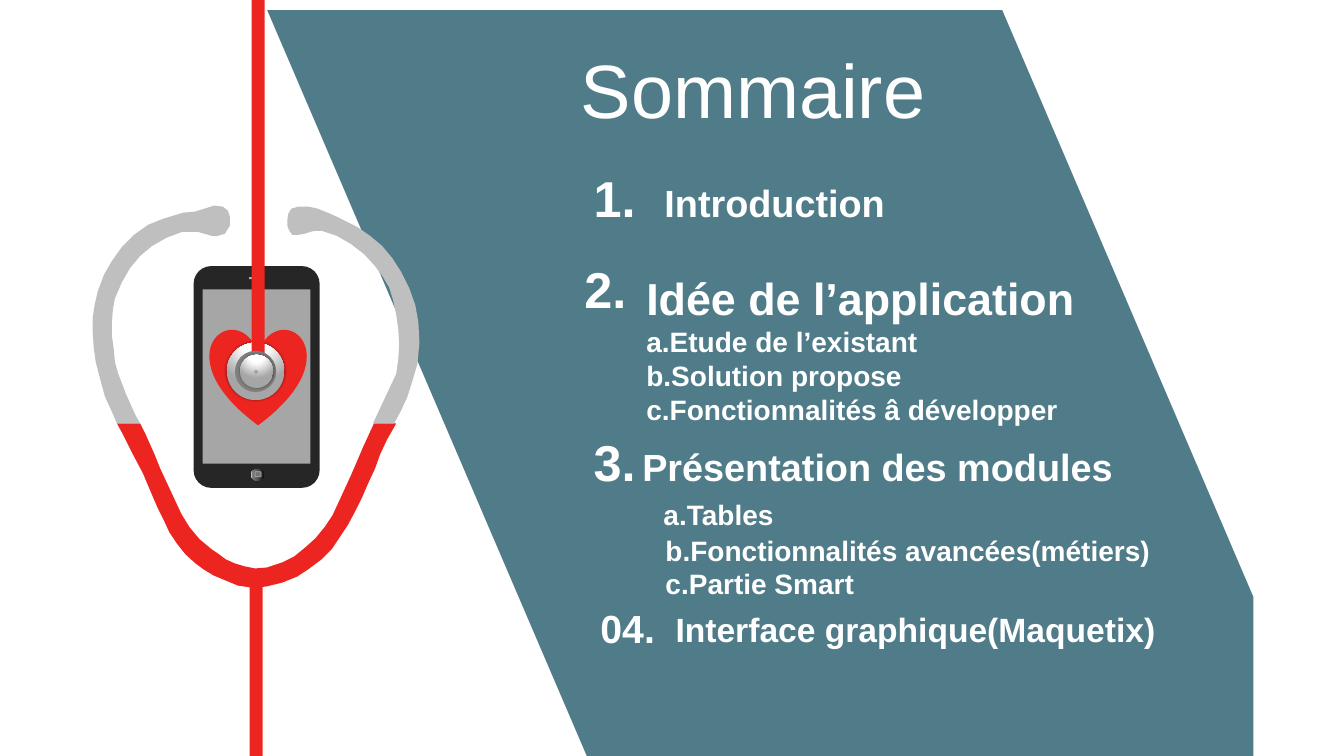
from dataclasses import dataclass

from lxml import etree
from pptx import Presentation
from pptx import util as u
from pptx.dml.color import RGBColor
from pptx.enum import shapes, text
from pptx.oxml import parse_xml
from pptx.oxml.ns import nsdecls, qn

COLUMNS, ROWS = 1333, 750
CELL = u.Inches(7.5) // ROWS
KIND = shapes.MSO_SHAPE


@dataclass(frozen=True)
class Theme:
    """Hold the colours and type sizes of the slide."""
    font: str = "Arial"
    panel: str = "507C89"
    red: str = "ED2521"
    tube: str = "BFBFBF"
    case: str = "262626"
    screen: str = "A6A6A6"
    speaker: str = "B0B0B0"
    key: str = "737373"
    ring: str = "808080"
    ink: str = "FFFFFF"
    button: tuple = ((0, "0F0F0F"), (56, "595959"), (91, "808080"), (100, "BFBFBF"))
    metal: tuple = ((0, "FFFFFF"), (35, "FFFFFF"), (100, "A6A6A6"))
    title: int = 54
    number: int = 36
    item: int = 20


THEME = Theme()
LINEAR = '<a:lin ang="10800000" scaled="0"/>'
RADIAL = ('<a:path path="circle"><a:fillToRect l="50000" t="-80000" '
          'r="50000" b="180000"/></a:path>')

SECTIONS = [
    {"box": (557, 161), "number": "1.", "size": THEME.number, "offset": (90, 12),
     "extent": (545, 56), "heading": ("Introduction", 27), "items": []},
    {"box": (548, 251), "number": "2.", "size": THEME.number, "offset": (81, 13),
     "extent": (493, 165), "heading": ("Idée de l’application", 32),
     "items": [("a.Etude de l’existant", {}), ("b.Solution propose", {}),
               ("c.Fonctionnalités â développer", {})]},
    {"box": (557, 423), "number": "3.", "size": THEME.number, "offset": (68, 12),
     "extent": (545, 168), "heading": ("Présentation des modules", 27),
     "items": [("a.Tables", {"indent": 21, "before": 6, "after": 1.5}),
               ("b.Fonctionnalités avancées(métiers)", {"indent": 23}),
               ("c.Partie Smart", {"indent": 23})]},
    {"box": (570, 595), "number": "04.", "size": 28, "offset": (88, 4),
     "extent": (545, 50), "heading": ("Interface graphique(Maquetix)", 24), "items": []},
]

PANEL = [(0, 0), (729, 0), (978, 582), (978, 740), (317, 740)]
LOWER_TUBE = [
    (116, 420), (139, 420), (144, 430), (153, 450), (159, 465), (166, 480), (173, 495),
    (180, 510), (188, 523), (198, 535), (210, 545), (216, 549), (224, 555), (233, 559),
    (243, 562), (253, 564), (265, 563), (280, 558), (292, 552), (303, 543), (313, 534),
    (322, 523), (330, 511), (336, 498), (342, 485), (348, 472), (354, 458), (360, 444),
    (371, 420), (393, 420), (392, 422), (384, 436), (377, 451), (372, 465), (365, 480),
    (359, 494), (352, 508), (345, 521), (337, 533), (329, 545), (319, 555), (307, 564),
    (295, 572), (280, 578), (264, 582), (250, 583), (236, 581), (224, 576), (212, 571),
    (202, 565), (194, 559), (184, 550), (176, 540), (168, 528), (162, 515), (156, 503),
    (150, 489), (142, 470), (132, 451), (122, 431)]
RIGHT_EARPIECE = [
    (296, 205), (306, 205), (315, 207), (325, 211), (334, 215), (342, 219), (354, 225),
    (367, 234), (379, 244), (389, 256), (398, 270), (406, 286), (412, 303), (415, 320),
    (416, 340), (414, 361), (409, 378), (404, 394), (397, 409), (391, 420), (370, 420),
    (393, 371), (395, 357), (396, 342), (395, 326), (393, 312), (390, 298), (386, 285),
    (380, 275), (372, 264), (361, 252), (348, 242), (334, 234), (319, 229), (313, 229),
    (308, 230), (302, 232), (296, 233), (290, 233), (287, 229), (285, 224), (285, 218),
    (286, 212), (289, 207)]
LEFT_EARPIECE = [
    (212, 204), (221, 205), (226, 209), (228, 215), (228, 224), (223, 232), (216, 234),
    (210, 234), (203, 232), (196, 230), (189, 230), (181, 230), (165, 236), (151, 244),
    (139, 254), (129, 266), (121, 280), (114, 296), (112, 307), (111, 320), (111, 333),
    (113, 347), (114, 359), (117, 370), (125, 391), (134, 411), (139, 420), (116, 420),
    (113, 413), (104, 393), (98, 371), (95, 359), (93, 345), (92, 330), (92, 315),
    (94, 302), (97, 289), (103, 273), (111, 259), (121, 245), (133, 233), (147, 223),
    (162, 217), (172, 214), (182, 211), (193, 210), (203, 207)]


def apply(target, values):
    """Set each named attribute on the target."""
    for name, value in values.items():
        setattr(target, name, value)


def cells(box, left, top, width, height):
    """Turn grid cells inside a box into slide lengths."""
    return [round(n * CELL) for n in (box[0] + left, box[1] + top, width, height)]


def paint(shape, fill):
    """Give a shape a plain or gradient fill, without line or shadow."""
    shape.shadow.inherit = False
    shape.line.fill.background()
    if isinstance(fill, str):
        shape.fill.solid()
        shape.fill.fore_color.rgb = RGBColor.from_string(fill)
        return
    stops, direction = fill
    marks = "".join(f'<a:gs pos="{position * 1000}"><a:srgbClr val="{color}"/></a:gs>'
                    for position, color in stops)
    gradient = f'<a:gradFill {nsdecls("a")}><a:gsLst>{marks}</a:gsLst>{direction}</a:gradFill>'
    shape.element.spPr.find(qn("a:prstGeom")).addnext(parse_xml(gradient))


def add_part(slide, box, kind, place, fill):
    """Add a preset shape in grid cells relative to a box."""
    shape = slide.shapes.add_shape(kind, *cells(box, *place))
    paint(shape, fill)
    return shape


def add_outline(slide, box, outlines, fill):
    """Add one freeform made of closed outlines."""
    builder = slide.shapes.build_freeform(*outlines[0][0], scale=CELL)
    builder.add_line_segments(outlines[0][1:], close=True)
    for outline in outlines[1:]:
        builder.move_to(*outline[0])
        builder.add_line_segments(outline[1:], close=True)
    paint(builder.convert_to_shape(box[0] * CELL, box[1] * CELL), fill)


def add_glow(shape):
    """Add a soft dark edge around a shape."""
    effects = shape.element.spPr.find(qn("a:effectLst"))
    effects.append(parse_xml(
        f'<a:outerShdw {nsdecls("a")} blurRad="25400" dist="0" dir="0">'
        '<a:srgbClr val="000000"><a:alpha val="40000"/></a:srgbClr></a:outerShdw>'))


def draw_phone(slide, box):
    """Draw the phone with its screen and home button."""
    case = add_part(slide, box, KIND.ROUNDED_RECTANGLE, (0, 0, 125, 220), THEME.case)
    case.adjustments[0] = 0.14
    add_part(slide, box, KIND.RECTANGLE, (55, 11, 13, 2), THEME.speaker)
    add_part(slide, box, KIND.OVAL, (57, 201, 13, 12), (THEME.button, LINEAR))
    key = add_part(slide, box, KIND.ROUNDED_RECTANGLE, (61, 204, 6, 5), THEME.key)
    key.line.color.rgb = RGBColor.from_string(THEME.speaker)
    key.line.width = u.Pt(0.5)
    add_part(slide, box, KIND.RECTANGLE, (9, 23, 107, 173), THEME.screen)


def draw_stethoscope(slide, box):
    """Draw the heart, the tubing and the chest piece."""
    metal = (THEME.metal, RADIAL)
    add_part(slide, box, KIND.HEART, (208, 326, 96, 96), THEME.red)
    add_part(slide, box, KIND.RECTANGLE, (247.5, 570, 13, 180), THEME.red)
    add_glow(add_part(slide, box, KIND.OVAL, (225, 340, 57, 57), metal))
    add_outline(slide, box, [LOWER_TUBE], THEME.red)
    add_outline(slide, box, [RIGHT_EARPIECE, LEFT_EARPIECE], THEME.tube)
    add_part(slide, box, KIND.RECTANGLE, (249.5, 0, 13, 358), THEME.red)
    add_part(slide, box, KIND.OVAL, (233, 348, 41, 41), THEME.ring)
    add_glow(add_part(slide, box, KIND.OVAL, (238, 352, 33, 33), metal))
    add_part(slide, box, KIND.OVAL, (252, 367, 4, 4), THEME.screen)


def set_frame(shape, anchor, side, edge):
    """Fix the margins, wrapping and anchor of a text frame."""
    apply(shape.text_frame, {
        "word_wrap": True, "auto_size": text.MSO_AUTO_SIZE.NONE, "vertical_anchor": anchor,
        "margin_left": side * CELL, "margin_right": side * CELL,
        "margin_top": edge * CELL, "margin_bottom": edge * CELL})


def write(paragraph, words, size, bold=True, align=text.PP_ALIGN.LEFT,
          indent=0, before=0, after=0):
    """Fill one paragraph without a bullet."""
    run = paragraph.add_run()
    run.text = words
    apply(run.font, {"name": THEME.font, "size": u.Pt(size), "bold": bold})
    run.font.color.rgb = RGBColor.from_string(THEME.ink)
    apply(paragraph, {"alignment": align, "space_before": u.Pt(before),
                      "space_after": u.Pt(after)})
    properties = paragraph._p.get_or_add_pPr()
    properties.set("marL", str(indent * CELL))
    properties.set("indent", "0")
    etree.SubElement(properties, qn("a:buNone"))


def place_placeholder(shape, box, place):
    """Move a placeholder to its cells and in front of the panel."""
    apply(shape, dict(zip(("left", "top", "width", "height"), cells(box, *place))))
    shape.element.getparent().append(shape.element)


def draw_title(slide, box):
    """Place the slide title."""
    title = slide.shapes.title
    place_placeholder(title, box, (0, 0, 659, 101))
    set_frame(title, text.MSO_ANCHOR.MIDDLE, 10, 5)
    write(title.text_frame.paragraphs[0], "Sommaire", THEME.title, bold=False)


def draw_section(slide, body, section):
    """Place a section's number, heading and items."""
    box = section["box"]
    place_placeholder(body, box, (*section["offset"], *section["extent"]))
    set_frame(body, text.MSO_ANCHOR.TOP, 12, 5)
    write(body.text_frame.paragraphs[0], *section["heading"])
    for words, layout in section["items"]:
        write(body.text_frame.add_paragraph(), words, THEME.item, **layout)
    number = slide.shapes.add_textbox(*cells(box, 0, 0, 105, 71))
    set_frame(number, text.MSO_ANCHOR.TOP, 12, 5)
    write(number.text_frame.paragraphs[0], section["number"], section["size"],
          align=text.PP_ALIGN.CENTER)


def main():
    """Build the summary slide and save it."""
    presentation = Presentation()
    apply(presentation, {"slide_width": COLUMNS * CELL, "slide_height": ROWS * CELL})
    slide = presentation.slides.add_slide(presentation.slide_layouts.get_by_name("Comparison"))
    bodies = [shape for shape in slide.placeholders if shape.placeholder_format.idx > 0]
    add_outline(slide, (265, 10), [PANEL], THEME.panel)
    draw_phone(slide, (192, 264))
    draw_stethoscope(slide, (0, 0))
    draw_title(slide, (566, 37))
    for body, section in zip(bodies, SECTIONS):
        draw_section(slide, body, section)
    presentation.save("out.pptx")


if __name__ == "__main__":
    main()
